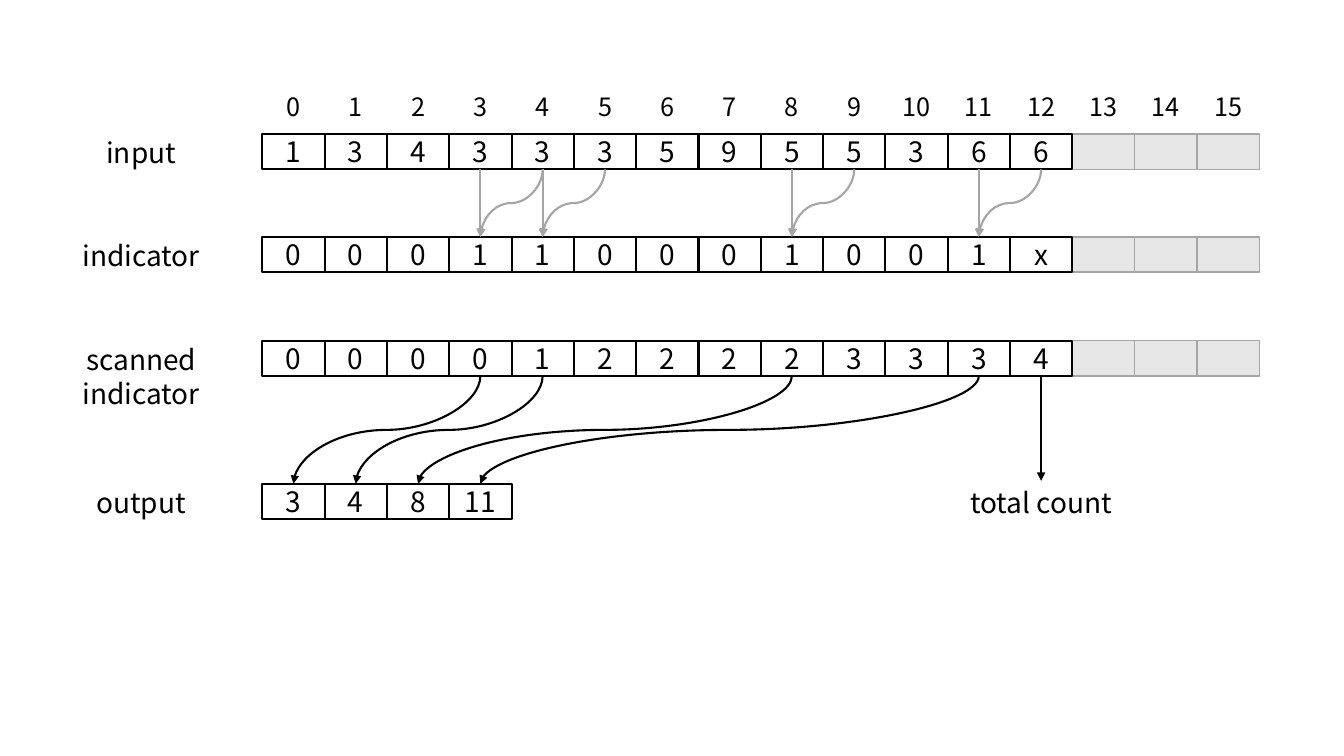
from lxml import etree
from pptx import Presentation
from pptx.dml.color import RGBColor
from pptx.enum.shapes import MSO_CONNECTOR, MSO_SHAPE
from pptx.enum.text import MSO_ANCHOR, MSO_AUTO_SIZE, PP_ALIGN
from pptx.oxml.ns import qn
from pptx.util import Inches, Pt

RECTANGLE = MSO_SHAPE.RECTANGLE
STRAIGHT, CURVE = MSO_CONNECTOR.STRAIGHT, MSO_CONNECTOR.CURVE
MIDDLE, CENTER = MSO_ANCHOR.MIDDLE, PP_ALIGN.CENTER
GROW = MSO_AUTO_SIZE.SHAPE_TO_FIT_TEXT
TOP_SIDE, BOTTOM_SIDE = 0, 2

COLORS = {"ink": "000000", "paper": "FFFFFF", "unused": "E7E6E6", "gray": "A5A5A5"}
FONT = "Noto Sans CJK SC"

COLUMNS = 16
ROWS = [
    ("input", 1.33, "1 3 4 3 3 3 5 9 5 5 3 6 6".split(), COLUMNS),
    ("indicator", 2.35, "0 0 0 1 1 0 0 0 1 0 0 1 x".split(), COLUMNS),
    ("scanned indicator", 3.38, "0 0 0 0 1 2 2 2 2 3 3 3 4".split(), COLUMNS),
    ("output", 4.8, "3 4 8 11".split(), 4),
]
MATCHES = [3, 4, 8, 11]
TOTAL_COLUMN = 12

GRID_LEFT, LAST_LEFT = 2.6, 11.87
PITCH = (LAST_LEFT - GRID_LEFT) / (COLUMNS - 1)
CELL_WIDTH, CELL_HEIGHT = 0.62, 0.35
INDEX_TOP = 0.88
LABEL_LEFT, LABEL_WIDTH, LABEL_HEIGHT, LABEL_RISE = 0.19, 2.42, 0.44, 0.03
TOP = {name: top for name, top, values, count in ROWS}

deck = Presentation()
deck.slide_width, deck.slide_height = Inches(13.33), Inches(7.5)
page = deck.slides.add_slide(deck.slide_layouts[6])


def color(name):
    return RGBColor.from_string(COLORS[name])


def column_left(column):
    return GRID_LEFT + column * PITCH


def column_center(column):
    return column_left(column) + CELL_WIDTH / 2


def write(box, text, size):
    para = box.text_frame.paragraphs[0]
    para.alignment = CENTER
    span = para.add_run()
    span.text = text
    span.font.size = Pt(size)
    span.font.name = FONT
    span.font.color.rgb = color("ink")


def add_text(left, top, width, height, text, size):
    box = page.shapes.add_textbox(Inches(left), Inches(top), Inches(width), Inches(height))
    box.text_frame.word_wrap = True
    write(box, text, size)
    return box


def add_label(left, row, text):
    box = add_text(left, TOP[row] - LABEL_RISE, LABEL_WIDTH, LABEL_HEIGHT, text, 20)
    box.text_frame.auto_size = GROW
    return box


def add_cell(column, top, text):
    box = page.shapes.add_shape(RECTANGLE, Inches(column_left(column)), Inches(top),
                                Inches(CELL_WIDTH), Inches(CELL_HEIGHT))
    box.shadow.inherit = False
    box.fill.solid()
    box.fill.fore_color.rgb = color("paper" if text else "unused")
    box.line.color.rgb = color("ink" if text else "gray")
    box.line.width = Pt(1.5 if text else 1)
    if text:
        box.text_frame.vertical_anchor = MIDDLE
        write(box, text, 20)
    return box


def add_arrow(kind, start, end, shade):
    arrow = page.shapes.add_connector(kind, *[Inches(value) for value in start + end])
    arrow.line.color.rgb = color(shade)
    arrow.line.width = Pt(1.5)
    head = etree.SubElement(arrow.line._get_or_add_ln(), qn("a:tailEnd"))
    head.set("type", "triangle")
    etree.SubElement(arrow.element.spPr, qn("a:effectLst"))
    return arrow


def add_straight(upper, lower, shade):
    arrow = add_arrow(STRAIGHT, (0, 0), (1, 1), shade)
    arrow.begin_connect(upper, BOTTOM_SIDE)
    arrow.end_connect(lower, TOP_SIDE)


def add_curve(from_column, from_row, to_column, to_row, shade):
    x1, y1 = column_center(from_column), TOP[from_row] + CELL_HEIGHT
    x2, y2 = column_center(to_column), TOP[to_row]
    middle_x, middle_y = (x1 + x2) / 2, (y1 + y2) / 2
    half_drop, half_run = (y2 - y1) / 2, (x1 - x2) / 2
    arrow = add_arrow(CURVE, (middle_x - half_drop, middle_y - half_run),
                      (middle_x + half_drop, middle_y + half_run), shade)
    arrow.element.spPr.find(qn("a:xfrm")).set("rot", "5400000")


cells = {}
for name, top, values, count in ROWS:
    for column in reversed(range(count)):
        text = values[column] if column < len(values) else ""
        cells[name, column] = add_cell(column, top, text)
    add_label(LABEL_LEFT, name, name)

for column in range(COLUMNS):
    index = add_text(column_left(column), INDEX_TOP, CELL_WIDTH, CELL_HEIGHT, str(column), 18)
    index.text_frame.vertical_anchor = MIDDLE

total = add_label(column_center(TOTAL_COLUMN) - LABEL_WIDTH / 2, "output", "total count")

for slot, column in enumerate(MATCHES):
    add_curve(column, "scanned indicator", slot, "output", "ink")
add_straight(cells["scanned indicator", TOTAL_COLUMN], total, "ink")

for column in MATCHES:
    add_straight(cells["input", column], cells["indicator", column], "gray")
    add_curve(column + 1, "input", column, "indicator", "gray")

deck.save("out.pptx")
